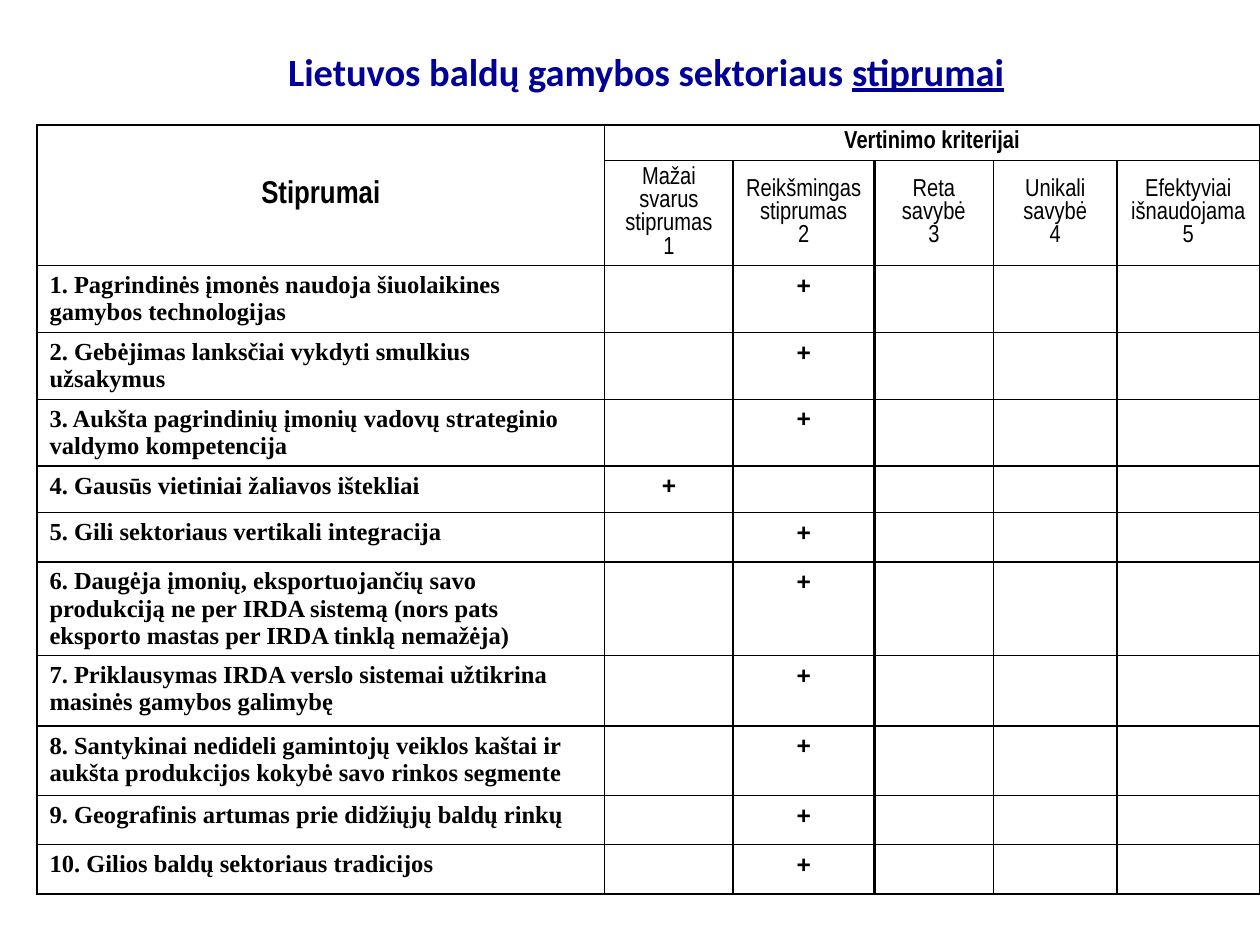
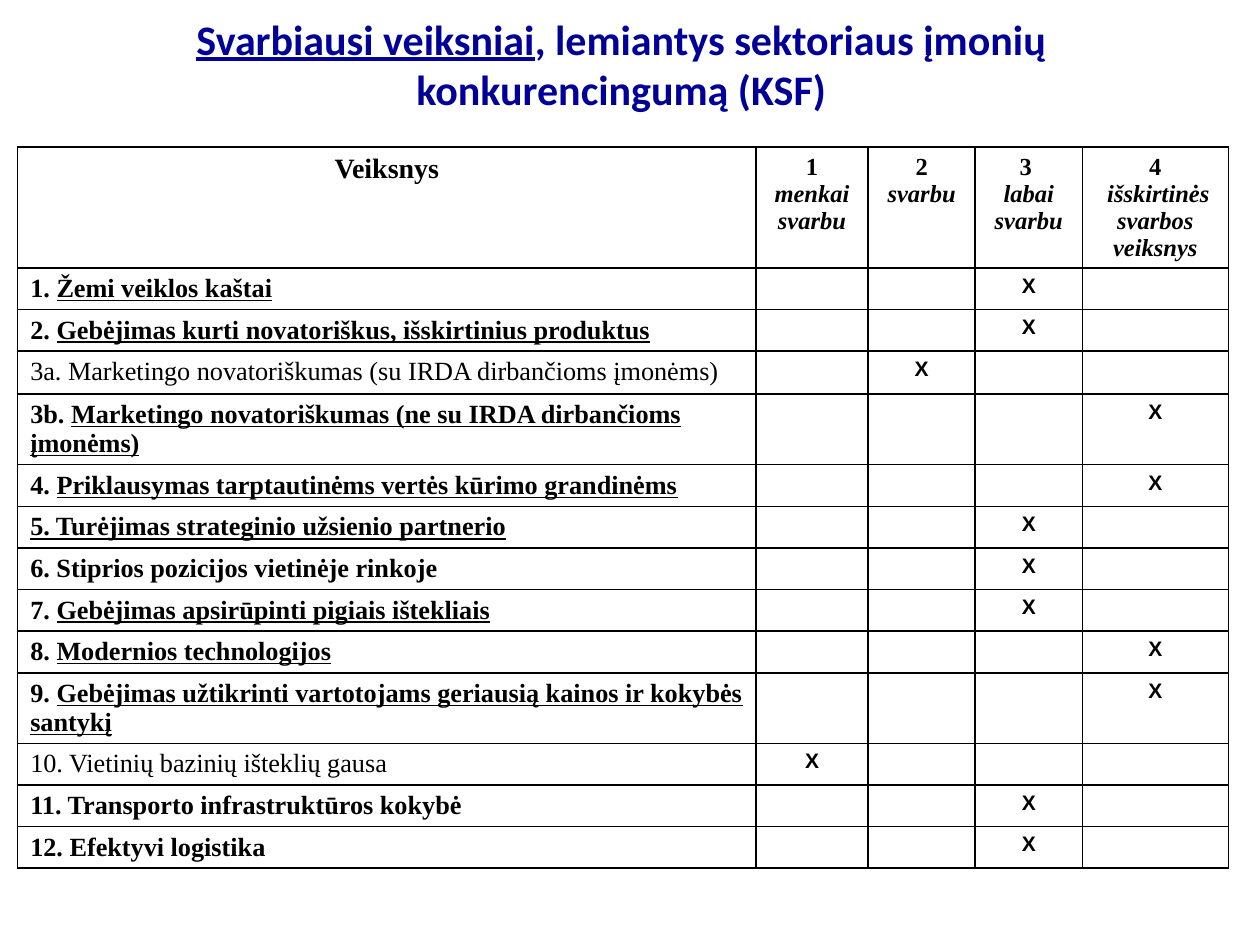
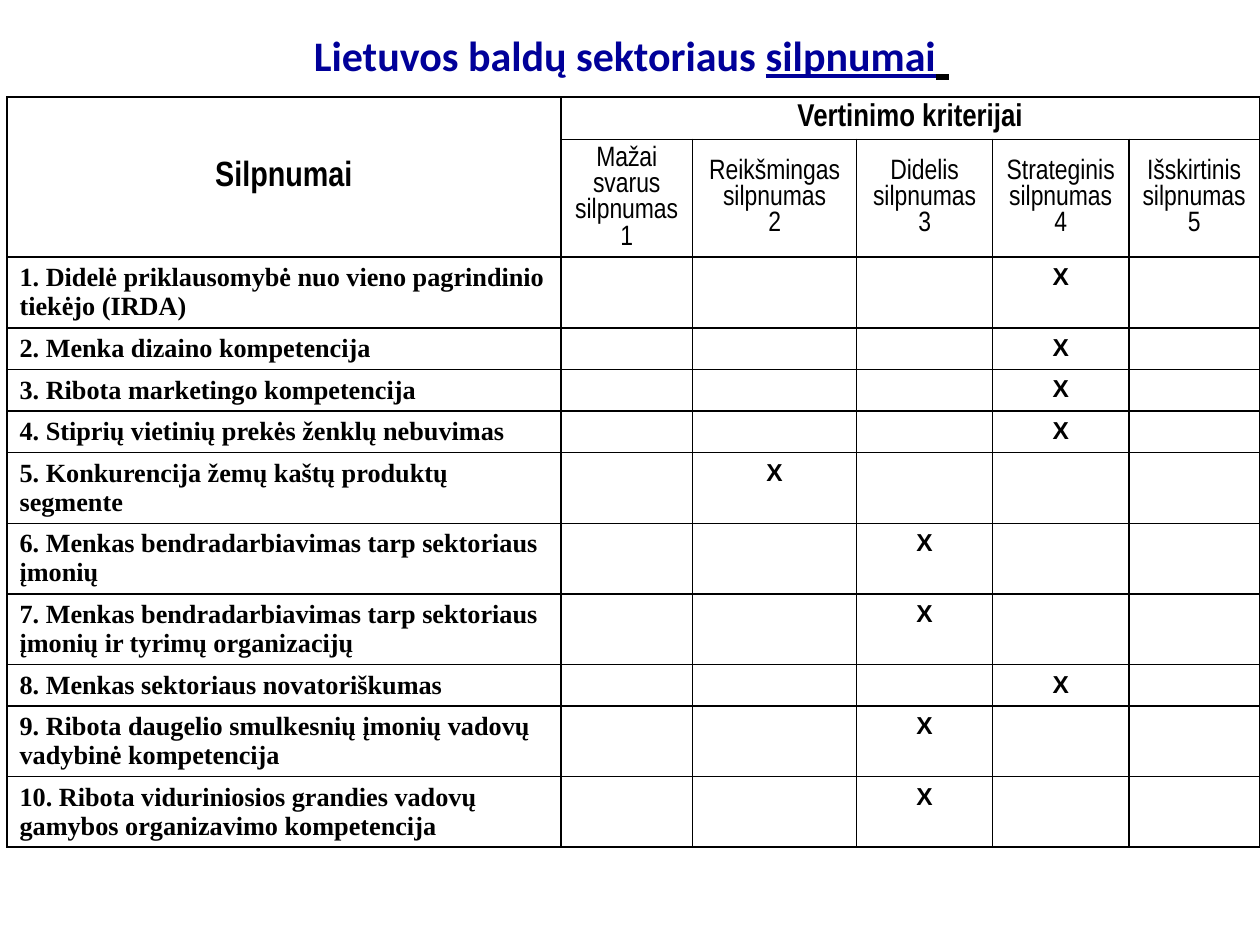
from lxml.etree import SubElement
from pptx import Presentation
from pptx.dml.color import RGBColor
from pptx.enum.text import MSO_ANCHOR, PP_ALIGN
from pptx.oxml.ns import qn
from pptx.util import Pt

BLACK, NAVY = "000000", "000099"
SERIF, SANS, NARROW = "Times New Roman", "Arial", "Arial Narrow"
TITLE_FONT = "Calibri"


def colour(value):
    return RGBColor.from_string(value)


class Deck:
    """Holds the shared style and the current slide."""

    def __init__(self, width, height):
        self.presentation = Presentation()
        self.presentation.slide_width = Pt(width)
        self.presentation.slide_height = Pt(height)
        self.slide = None

    def add_slide(self):
        layout = self.presentation.slide_layouts[5]  # title only
        self.slide = self.presentation.slides.add_slide(layout)

    def paragraph(self, paragraph, runs, font, size, bold=True,
                  align=PP_ALIGN.LEFT, text_colour=BLACK):
        """Fill a paragraph; each run is (text, own font settings)."""
        paragraph.alignment = align
        style = paragraph.font
        style.name, style.size, style.bold = font, Pt(size), bold
        style.color.rgb = colour(text_colour)
        for text, settings in runs:
            run = paragraph.add_run()
            run.text = text
            for name, value in settings.items():
                if name == "color":
                    run.font.color.rgb = colour(value)
                else:
                    setattr(run.font, name, value)

    def title(self, left, top, height, runs, size=24):
        shape = self.slide.shapes.title
        shape.left, shape.top = Pt(left), Pt(top)
        shape.width, shape.height = Pt(648), Pt(height)
        frame = shape.text_frame
        frame.word_wrap = True
        frame.vertical_anchor = MSO_ANCHOR.MIDDLE
        self.paragraph(frame.paragraphs[0], runs, TITLE_FONT, size,
                       align=PP_ALIGN.CENTER, text_colour=NAVY)

    def table(self, left, top, height, columns, rows):
        """Add an empty table with thin black borders and no fill."""
        shape = self.slide.shapes.add_table(
            len(rows), len(columns), Pt(left), Pt(top), Pt(sum(columns)), Pt(height))
        table = shape.table
        table.first_row = table.horz_banding = False
        for column, width in zip(table.columns, columns):
            column.width = Pt(width)
        for row, row_height in zip(table.rows, rows):
            row.height = Pt(row_height)
        shape.height = Pt(height)
        for cell in table.iter_cells():
            cell.fill.background()
            self.borders(cell)
            # Small type keeps empty cells from stretching their rows
            end = SubElement(cell.text_frame.paragraphs[0]._p, qn("a:endParaRPr"))
            end.set("sz", "1200")
        return table

    def borders(self, cell, **widths):
        properties = cell._tc.get_or_add_tcPr()
        for index, side in enumerate("LRTB"):
            tag = qn("a:ln" + side)
            for old in properties.findall(tag):
                properties.remove(old)
            line = SubElement(properties, tag, w=str(Pt(widths.get(side, 1))))
            fill = SubElement(line, qn("a:solidFill"))
            SubElement(fill, qn("a:srgbClr"), val=BLACK)
            properties.insert(index, line)

    def cell(self, cell, paragraphs, font, size, bold=True,
             align=PP_ALIGN.CENTER, anchor=MSO_ANCHOR.TOP):
        cell.vertical_anchor = anchor
        frame = cell.text_frame
        for index, runs in enumerate(paragraphs):
            paragraph = frame.add_paragraph() if index else frame.paragraphs[0]
            self.paragraph(paragraph, runs, font, size, bold, align)

    def criteria_header(self, table, heading, criteria, sizes):
        """Two header rows: a tall heading, and a band over the criteria."""
        heading_size, band_size, criterion_size = sizes
        middle = MSO_ANCHOR.MIDDLE
        table.cell(0, 0).merge(table.cell(1, 0))
        table.cell(0, 1).merge(table.cell(0, len(criteria)))
        self.cell(table.cell(0, 0), [[(heading, {})]], NARROW, heading_size,
                  anchor=middle)
        self.cell(table.cell(0, 1), [[("Vertinimo kriterijai", {})]], NARROW, band_size)
        for number, lines in enumerate(criteria, 1):
            paragraphs = [[(line, {})] for line in (*lines, str(number))]
            self.cell(table.cell(1, number), paragraphs, NARROW, criterion_size,
                      bold=False, anchor=middle)

    def rated_row(self, table, row, runs, size, column, mark, mark_size, bold=True):
        """A label on the left and one mark in the rated column."""
        self.cell(table.cell(row, 0), [runs], SERIF, size, bold, PP_ALIGN.LEFT)
        self.cell(table.cell(row, column), [[(mark, {})]], SANS, mark_size)


UNDERLINED = {"underline": True}
deck = Deck(720, 540)

# Slide 1: strengths
STRENGTHS = [
    ("Pagrindinės įmonės naudoja šiuolaikines gamybos technologijas", 2),
    ("Gebėjimas lanksčiai vykdyti smulkius užsakymus", 2),
    ("Aukšta pagrindinių įmonių vadovų strateginio valdymo kompetencija", 2),
    ("Gausūs vietiniai žaliavos ištekliai", 1),
    ("Gili sektoriaus vertikali integracija", 2),
    ("Daugėja įmonių, eksportuojančių savo produkciją ne per IRDA sistemą "
     "(nors pats eksporto mastas per IRDA tinklą nemažėja)", 2),
    ("Priklausymas IRDA verslo sistemai užtikrina masinės gamybos galimybę ", 2),
    ("Santykinai nedideli gamintojų veiklos kaštai ir aukšta produkcijos "
     "kokybė savo rinkos segmente", 2),
    ("Geografinis artumas prie didžiųjų baldų rinkų", 2),
    ("Gilios baldų sektoriaus tradicijos", 2),
]
deck.add_slide()
deck.title(42.5, 20.2, 38.9, [
    (" ", {"size": Pt(24), "color": BLACK}),
    ("Lietuvos baldų gamybos sektoriaus ", {}),
    ("stiprumai", UNDERLINED)], size=22)
table = deck.table(21.1, 71.3, 458.6, [324.5, 73.4, 80.6, 68.2, 70.6, 81.4],
                   [14.4, 46.8, 36, 28.1, 33.8, 26.6, 28.1, 43.2, 40.3, 39.6, 28.1, 28.1])
deck.criteria_header(table, "Stiprumai", [
    ["Mažai svarus stiprumas"], ["Reikšmingas stiprumas"], ["Reta", "savybė"],
    ["Unikali savybė"], ["Efektyviai išnaudojama"]], (18, 14, 14))
for number, (label, column) in enumerate(STRENGTHS, 1):
    deck.rated_row(table, number + 1, [(f"{number}. {label}", {})], 14, column, "+", 14)
# A thicker rule after the second criterion
for row in range(1, len(table.rows)):
    deck.borders(table.cell(row, 2), R=2)
    deck.borders(table.cell(row, 3), L=2)

# Slide 2: key success factors (plain part, underlined part, rating, bold)
FACTORS = [
    ("1. ", "Žemi veiklos kaštai", 3, True),
    ("2. ", "Gebėjimas kurti novatoriškus, išskirtinius produktus", 3, True),
    ("3a. Marketingo novatoriškumas (su IRDA dirbančioms įmonėms)", "", 2, False),
    ("3b. ", "Marketingo novatoriškumas (ne su IRDA dirbančioms įmonėms)", 4, True),
    ("4. ", "Priklausymas tarptautinėms vertės kūrimo grandinėms", 4, True),
    ("", "5. Turėjimas strateginio užsienio partnerio", 3, True),
    ("6. Stiprios pozicijos vietinėje rinkoje", "", 3, True),
    ("7. ", "Gebėjimas apsirūpinti pigiais ištekliais", 3, True),
    ("8. ", "Modernios technologijos", 4, True),
    ("9. ", "Gebėjimas užtikrinti vartotojams geriausią kainos ir kokybės santykį",
     4, True),
    ("10. Vietinių bazinių išteklių gausa", "", 1, False),
    ("11. Transporto infrastruktūros kokybė", "", 3, True),
    ("12. Efektyvi logistika", "", 3, True),
]
ITALIC = {"italic": True}
RATINGS = [
    [[("1", {}), (" menkai svarbu", ITALIC)]],
    [[("2", {}), (" svarbu", ITALIC)]],
    [[("3 ", {})], [("labai svarbu", ITALIC)]],
    [[("4", {})], [(" išskirtinės svarbos veiksnys", ITALIC)]],
]
deck.add_slide()
deck.title(31, 0, 72.7, [
    ("Svarbiausi veiksniai", UNDERLINED),
    (", lemiantys sektoriaus įmonių konkurencingumą (KSF)", {})])
table = deck.table(10.1, 84, 437.8, [421.9, 64.1, 61.2, 61.2, 83.5],
                   [51.1] + [21.6] * 2 + [24.5, 36] + [21.6] * 9)
deck.cell(table.cell(0, 0), [[("Veiksnys", {})]], SERIF, 16)
for column, paragraphs in enumerate(RATINGS, 1):
    deck.cell(table.cell(0, column), paragraphs, SERIF, 14)
for row, (plain, underlined, column, bold) in enumerate(FACTORS, 1):
    runs = [run for run in ((plain, {}), (underlined, UNDERLINED)) if run[0]]
    deck.rated_row(table, row, runs, 15, column, "X", 12, bold)

# Slide 3: weaknesses
WEAKNESSES = [
    ("Didelė priklausomybė nuo vieno pagrindinio tiekėjo (IRDA)", 4),
    ("Menka dizaino kompetencija ", 4),
    ("Ribota marketingo kompetencija", 4),
    ("Stiprių vietinių prekės ženklų nebuvimas", 4),
    ("Konkurencija žemų kaštų produktų segmente", 2),
    ("Menkas bendradarbiavimas tarp sektoriaus įmonių", 3),
    ("Menkas bendradarbiavimas tarp sektoriaus įmonių ir tyrimų organizacijų", 3),
    ("Menkas sektoriaus novatoriškumas", 4),
    ("Ribota daugelio smulkesnių įmonių vadovų vadybinė kompetencija", 3),
    ("Ribota viduriniosios grandies vadovų gamybos organizavimo kompetencija", 3),
]
DEGREES = ["Mažai svarus", "Reikšmingas", "Didelis", "Strateginis", "Išskirtinis"]
deck.add_slide()
deck.title(36.7, 3.2, 49.7, [
    ("Lietuvos baldų sektoriaus ", {}),
    ("silpnumai", UNDERLINED),
    (" ", {"underline": True, "size": Pt(32), "color": BLACK})])
table = deck.table(4, 55.5, 473, [316.5, 75.4, 93.6, 77.8, 77.8, 74.7],
                   [9.4, 33.8] + [21.6] * 10)
deck.criteria_header(table, "Silpnumai", [[f"{degree} silpnumas"] for degree in DEGREES],
                     (20, 18, 16))
for number, (label, column) in enumerate(WEAKNESSES, 1):
    deck.rated_row(table, number + 1, [(f"{number}. {label}", {})], 15, column, "X", 14)

deck.presentation.save("out.pptx")
